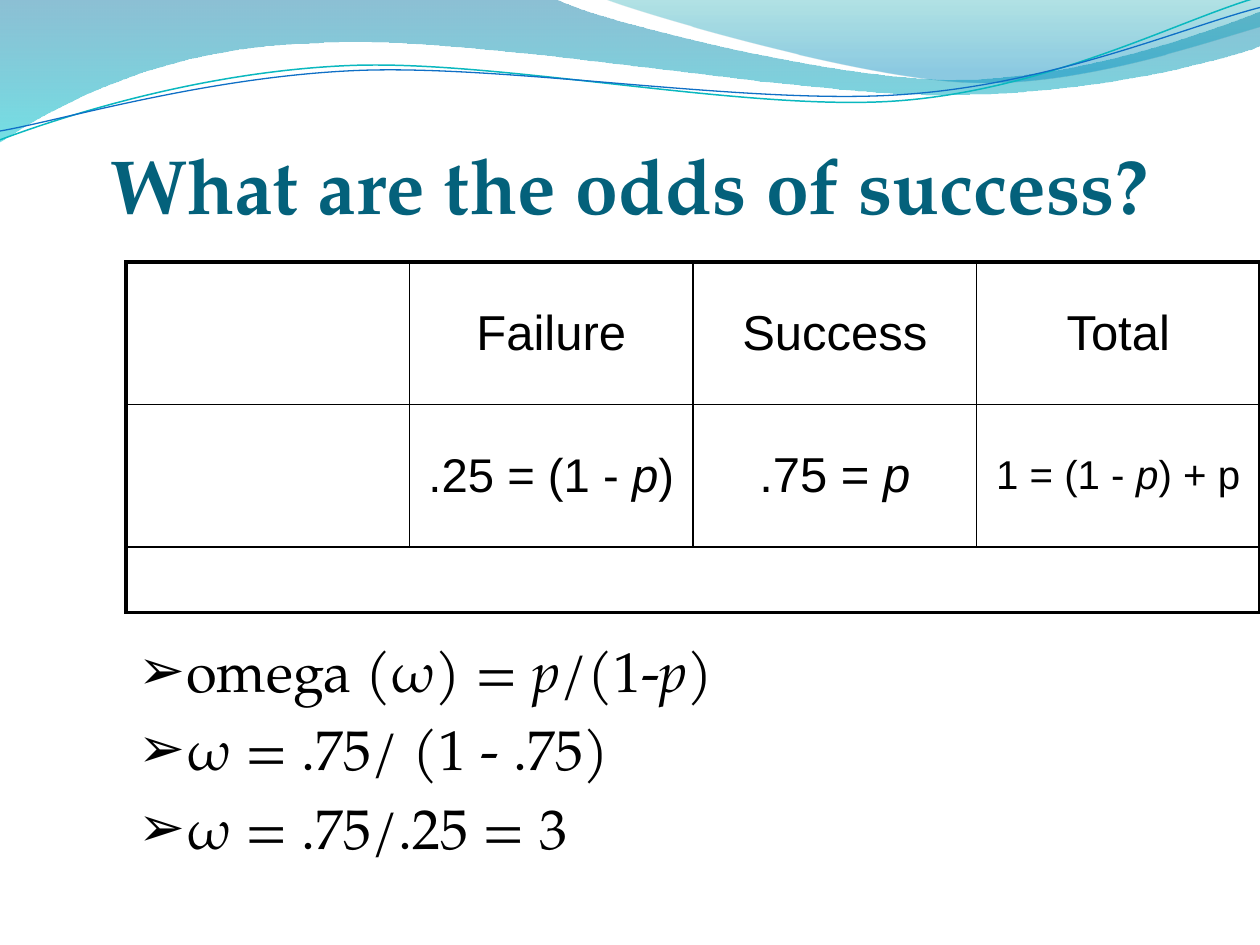
from math import cos, radians, sin

from lxml import etree
from pptx import Presentation
from pptx.dml.color import RGBColor
from pptx.enum.text import MSO_ANCHOR, PP_ALIGN
from pptx.oxml.ns import qn
from pptx.util import Inches, Pt

MIDDLE = MSO_ANCHOR.MIDDLE
CENTER = PP_ALIGN.CENTER
SERIF = "TeX Gyre Pagella"
SANS = "Arial"
TILT = 2.7

BANDS = [
    ([[(0, 0)], [(4.4, -0.01)],
      [(4.76, 0.17), (6.64, 0.63), (7.58, 0.63)],
      [(8.53, 0.63), (9.58, 0.26), (10, 0.09)],
      [(10.01, 0.36)],
      [(9.83, 0.44), (8.7, 0.76), (7.46, 0.75)],
      [(6.22, 0.75), (3.82, 0.28), (2.57, 0.34)],
      [(1.29, 0.36), (0.46, 0.83), (-0.01, 1.13)],
      [(0, 0)]],
     [(0, "0074A1", 45), (1, "00C6CF", 55)]),
    ([[(4.79, -0.01)],
      [(5.09, 0.11), (6.82, 0.62), (7.69, 0.65)],
      [(8.56, 0.69), (9.61, 0.32), (10, 0.21)],
      [(10, 0)], [(4.79, -0.01)]],
     [(0, "00A1A9", 30), (0.8, "008BBF", 45)]),
]
WAVES = [
    ([[(0, 1.11)],
      [(0.48, 0.93), (1.58, 0.57), (2.77, 0.52)],
      [(3.95, 0.47), (5.93, 0.89), (7.13, 0.8)],
      [(8.33, 0.71), (9.38, 0.15), (9.98, -0.02)]],
     (4.99, 0.58), "0AB8BF", 0.85),
    ([[(0, 1.04)],
      [(0.47, 0.96), (1.64, 0.61), (2.83, 0.56)],
      [(4.03, 0.51), (5.97, 0.84), (7.17, 0.75)],
      [(8.36, 0.67), (9.41, 0.21), (10, 0.06)]],
     (5, 0.59), "0F6FC6", 0.75),
]
ROWS = [
    [("", 28), ("Failure", 28), ("Success", 28), ("Total", 28)],
    [("", 28), (".25 = (1 - |p|)", 27), (".75 = |p", 28),
     ("1 = (1 - |p|) + p", 23)],
]
POINTS = ["omega (ω) = |p|/(1-|p|)", "ω = .75/ (1 - .75)", "ω = .75/.25 = 3"]


def color(code):
    return RGBColor.from_string(code)


def turn(spot, mid):
    x, y = spot[0] - mid[0], spot[1] - mid[1]
    c, s = cos(radians(TILT)), sin(radians(TILT))
    return mid[0] + x * c - y * s, mid[1] + x * s + y * c


def add_curve(slide, box, parts, closed):
    left, top = box
    spots = [(Inches(left + x), Inches(top + y))
             for part in parts for x, y in part]
    pen = slide.shapes.build_freeform(*spots[0])
    pen.add_line_segments(spots[1:], close=closed)
    shape = pen.convert_to_shape()
    shape.shadow.inherit = False
    lines = iter(list(shape.element.spPr.iter(qn("a:lnTo"))))
    for part in parts[1:]:
        first, *rest = [next(lines) for _ in part]
        if rest:
            first.tag = qn("a:cubicBezTo")
            for line in rest:
                first.append(line[0])
                line.getparent().remove(line)
    return shape


def add_header(slide, box):
    for parts, stops in BANDS:
        shape = add_curve(slide, box, parts, True)
        shape.line.fill.background()
        shape.fill.gradient()
        shape.fill.gradient_angle = 270
        for stop, (place, code, _) in zip(shape.fill.gradient_stops, stops):
            stop.position = place
            stop.color.rgb = color(code)
        tints = shape.element.spPr.iter(qn("a:srgbClr"))
        for tint, (_, _, alpha) in zip(tints, stops):
            etree.SubElement(tint, qn("a:alpha"), val=str(alpha * 1000))
    for parts, mid, code, width in WAVES:
        flat = [[turn(spot, mid) for spot in part] for part in parts]
        shape = add_curve(slide, box, flat, False)
        shape.rotation = 360 - TILT
        shape.fill.background()
        shape.line.color.rgb = color(code)
        shape.line.width = Pt(width)


def write(para, text, size, font, code="000000", bold=False):
    for index, piece in enumerate(text.split("|")):
        if piece:
            run = para.add_run()
            run.text = piece
            run.font.size = Pt(size)
            run.font.name = font
            run.font.bold = bold
            run.font.italic = index % 2 == 1
            run.font.color.rgb = color(code)


def space(para):
    props = para._p.get_or_add_pPr()
    gap = etree.SubElement(props, qn("a:spcBef"))
    etree.SubElement(gap, qn("a:spcPct"), val="20000")
    return props


def add_box(slide, box):
    frame = slide.shapes.add_textbox(*map(Inches, box)).text_frame
    frame.word_wrap = True
    return frame


def add_title(slide, box):
    frame = add_box(slide, box)
    frame.vertical_anchor = MIDDLE
    para = frame.paragraphs[0]
    para.alignment = CENTER
    write(para, "What are the odds of success?", 44, SERIF, "04617B", True)


def edge(cell, sides):
    props = cell._tc.get_or_add_tcPr()
    for index, (side, thick) in enumerate(sides.items()):
        line = etree.Element(qn("a:ln" + side),
                             w=str(Pt(2.25 if thick else 1)))
        fill = etree.SubElement(line, qn("a:solidFill"))
        etree.SubElement(fill, qn("a:srgbClr"), val="000000")
        props.insert(index, line)


def add_odds(slide, box):
    left, top, width, height = map(Inches, box)
    grid = slide.shapes.add_table(3, 4, left, top, width, height)
    table = grid.table
    table.first_row = table.horz_banding = False
    for row, tall in zip(table.rows, (1.13, 1.13, 0.2)):
        row.height = Inches(tall)
    grid.height = height
    for r in range(3):
        for c in range(4):
            cell = table.cell(r, c)
            cell.fill.background()
            cell.vertical_anchor = MIDDLE
            edge(cell, {"L": c == 0, "R": c == 3 or r == 2,
                        "T": r == 0, "B": r == 2})
    for r, line in enumerate(ROWS):
        for c, (text, size) in enumerate(line):
            if text:
                para = table.cell(r, c).text_frame.paragraphs[0]
                para.alignment = CENTER
                space(para)
                write(para, text, size, SANS)
    table.cell(2, 0).merge(table.cell(2, 3))
    last = table.cell(2, 0).text_frame.paragraphs[0]._p
    mark = etree.SubElement(last, qn("a:endParaRPr"), sz="2700")
    etree.SubElement(mark, qn("a:latin"), typeface=SANS)


def add_points(slide, box):
    frame = add_box(slide, box)
    for index, text in enumerate(POINTS):
        para = frame.add_paragraph() if index else frame.paragraphs[0]
        props = space(para)
        props.set("marL", str(Inches(0.38)))
        props.set("indent", str(-Inches(0.38)))
        etree.SubElement(props, qn("a:buFont"), typeface=SANS)
        etree.SubElement(props, qn("a:buChar"), char="➢")
        write(para, text, 32, SERIF)


def main():
    deck = Presentation()
    deck.slide_width = Inches(10)
    deck.slide_height = Inches(7.5)
    slide = deck.slides.add_slide(deck.slide_layouts[6])
    add_header(slide, (0, 0))
    add_odds(slide, (1, 2.08, 9, 2.82))
    add_title(slide, (0.5, 0.83, 9, 1.25))
    add_points(slide, (1, 5, 9, 2.17))
    deck.save("out.pptx")


if __name__ == "__main__":
    main()
